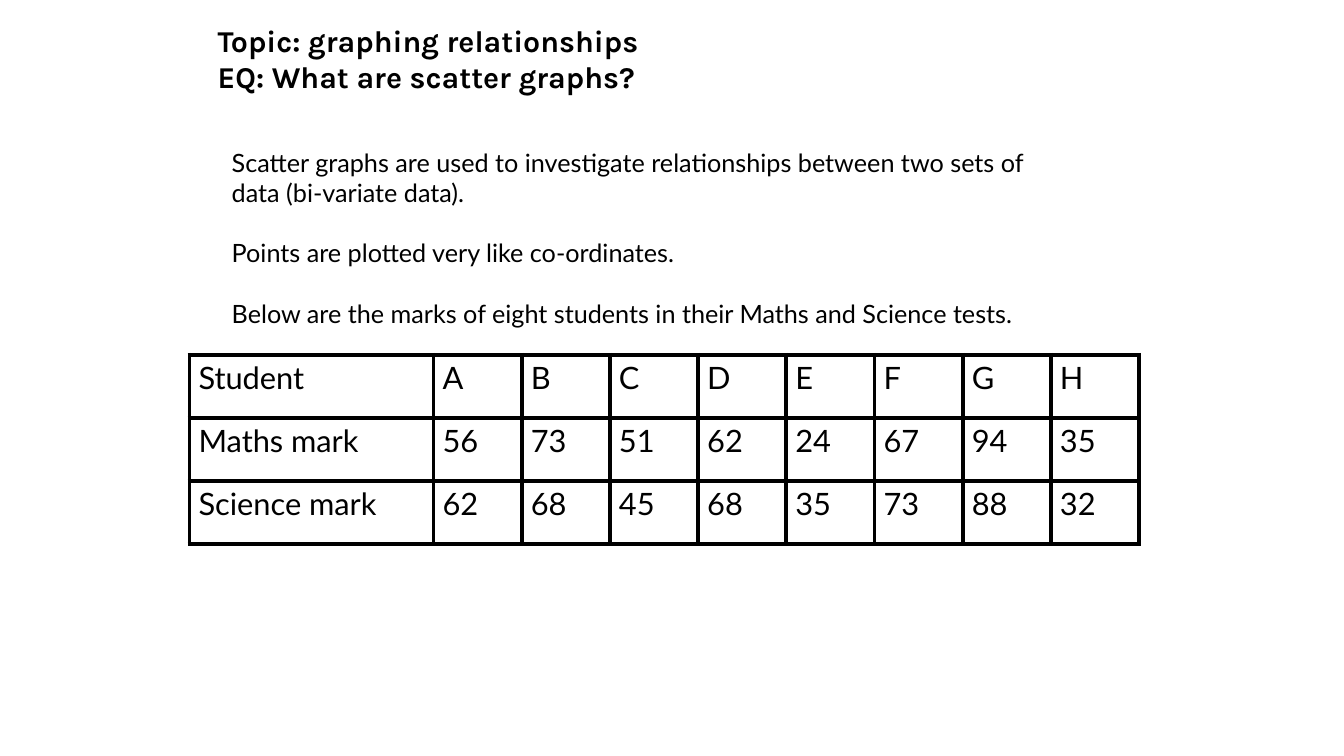
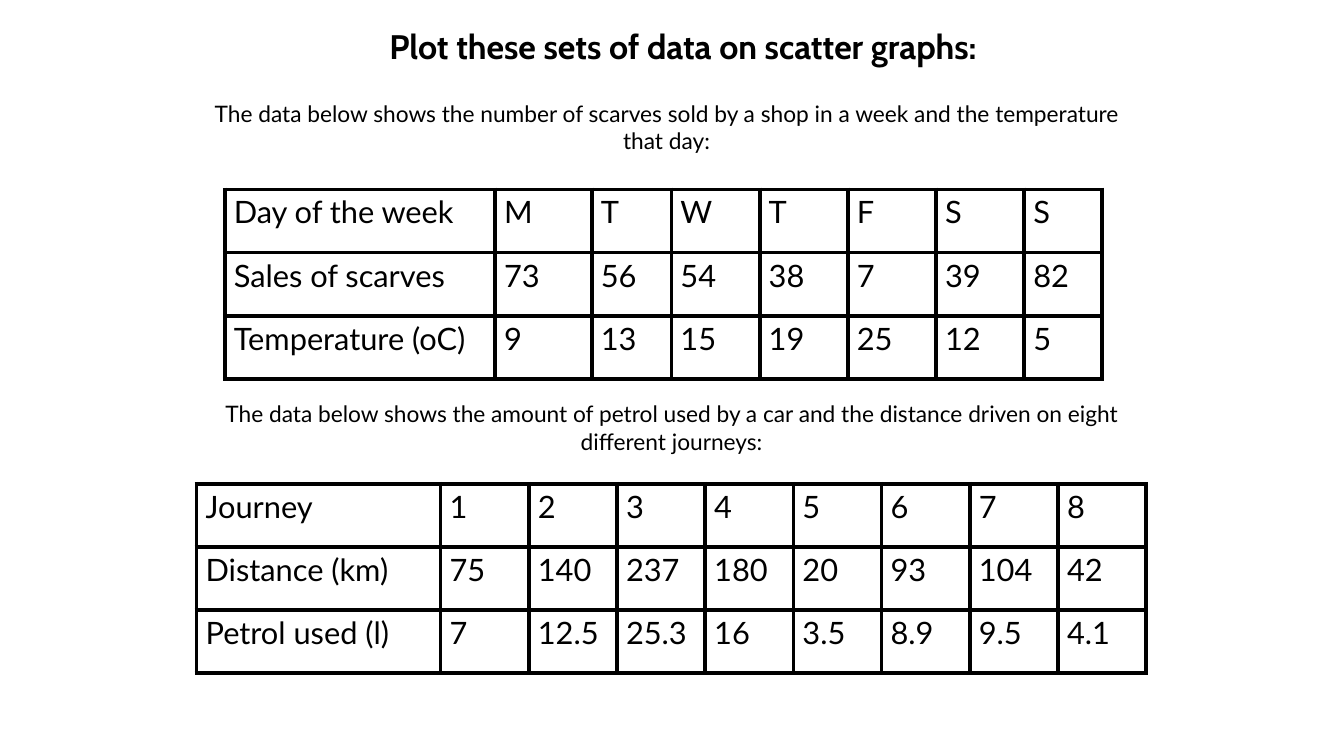
from lxml import etree
from pptx import Presentation
from pptx.dml.color import RGBColor
from pptx.enum.text import PP_ALIGN
from pptx.oxml.ns import qn
from pptx.util import Inches, Pt

BLACK = RGBColor(0x00, 0x00, 0x00)
WHITE = RGBColor(0xFF, 0xFF, 0xFF)
LEFT, CENTER = PP_ALIGN.LEFT, PP_ALIGN.CENTER
BODY = "Lato"
CELL_SIZE = 22
ROW_H = 1.88 / 3
EVEN_COLS = [2.42] + [0.875] * 8

TOPIC = ["Topic: graphing relationships", "EQ: What are scatter graphs?"]
INTRO = [
    "Scatter graphs are used to investigate relationships between two sets of data (bi-variate data).",
    "Points are plotted very like co-ordinates.",
    "Below are the marks of eight students in their Maths and Science tests.",
]
MARKS = [
    ("Student", "A", "B", "C", "D", "E", "F", "G", "H"),
    ("Maths mark", 56, 73, 51, 62, 24, 67, 94, 35),
    ("Science mark", 62, 68, 45, 68, 35, 73, 88, 32),
]

TASK = ["Plot these sets of data on scatter graphs:"]
SCARF_TEXT = [
    "The data below shows the number of scarves sold by a shop in a week and the temperature that day:"
]
SCARVES = [
    ("Day of the week", "M", "T", "W", "T", "F", "S", "S"),
    ("Sales of scarves", 73, 56, 54, 38, 7, 39, 82),
    ("Temperature (oC)", 9, 13, 15, 19, 25, 12, 5),
]
SCARF_COLS = [2.68, 0.96, 0.79] + [0.875] * 4 + [0.77]
PETROL_TEXT = [
    "The data below shows the amount of petrol used by a car and the distance driven on eight different journeys:"
]
PETROL = [
    ("Journey", 1, 2, 3, 4, 5, 6, 7, 8),
    ("Distance (km)", 75, 140, 237, 180, 20, 93, 104, 42),
    ("Petrol used (l)", 7, 12.5, 25.3, 16, 3.5, 8.9, 9.5, 4.1),
]


def style(para, size, face=BODY, bold=False):
    font = para.font
    font.name, font.size, font.bold = face, Pt(size), bold
    font.color.rgb = BLACK


def add_text(slide, box, lines, size, face=BODY, bold=False, align=LEFT, gap=0):
    """Add one paragraph per line, with gap points between them."""
    frame = slide.shapes.add_textbox(*map(Inches, box)).text_frame
    frame.word_wrap = True
    frame.text = "\n".join(lines)
    for i, para in enumerate(frame.paragraphs):
        para.alignment = align
        if i and gap:
            para.space_before = Pt(gap)
        style(para, size, face, bold)


def add_border(cell):
    props = cell._tc.get_or_add_tcPr()
    for side in ("lnL", "lnR", "lnT", "lnB"):
        line = etree.SubElement(props, qn("a:" + side), w=str(Pt(3)))
        fill = etree.SubElement(line, qn("a:solidFill"))
        etree.SubElement(fill, qn("a:srgbClr"), val=str(BLACK))


def add_grid(slide, left, top, cols, rows):
    size = sum(cols), ROW_H * len(rows)
    table = slide.shapes.add_table(
        len(rows), len(cols), *map(Inches, (left, top, *size))).table
    table.first_row = table.horz_banding = False
    for col, width in zip(table.columns, cols):
        col.width = Inches(width)
    for r, row in enumerate(rows):
        for c, value in enumerate(row):
            cell = table.cell(r, c)
            cell.text = str(value)
            cell.margin_left = cell.margin_right = Inches(0.09)
            cell.margin_top = cell.margin_bottom = Inches(0.04)
            add_border(cell)
            cell.fill.solid()
            cell.fill.fore_color.rgb = WHITE
            style(cell.text_frame.paragraphs[0], CELL_SIZE)


def main():
    deck = Presentation()
    deck.slide_width, deck.slide_height = Inches(13.33), Inches(7.5)
    blank = deck.slide_layouts[6]

    intro = deck.slides.add_slide(blank)
    add_text(intro, (2.06, 0.17, 7.38, 0.83), TOPIC, 21.6, "Karla", True)
    add_text(intro, (2.2, 1.41, 8.29, 1.92), INTRO, 18, gap=21.6)
    add_grid(intro, 1.88, 3.52, EVEN_COLS, MARKS)

    task = deck.slides.add_slide(blank)
    add_text(task, (2, 0.2, 9.55, 0.51), TASK, 24.3, "Cabin", True, CENTER)
    add_text(task, (2.02, 0.94, 9.18, 0.65), SCARF_TEXT, 16.2, align=CENTER)
    add_grid(task, 2.23, 1.88, SCARF_COLS, SCARVES)
    add_text(task, (2.07, 3.92, 9.18, 0.65), PETROL_TEXT, 16.2, align=CENTER)
    add_grid(task, 1.95, 4.8, EVEN_COLS, PETROL)

    deck.save("out.pptx")


if __name__ == "__main__":
    main()
